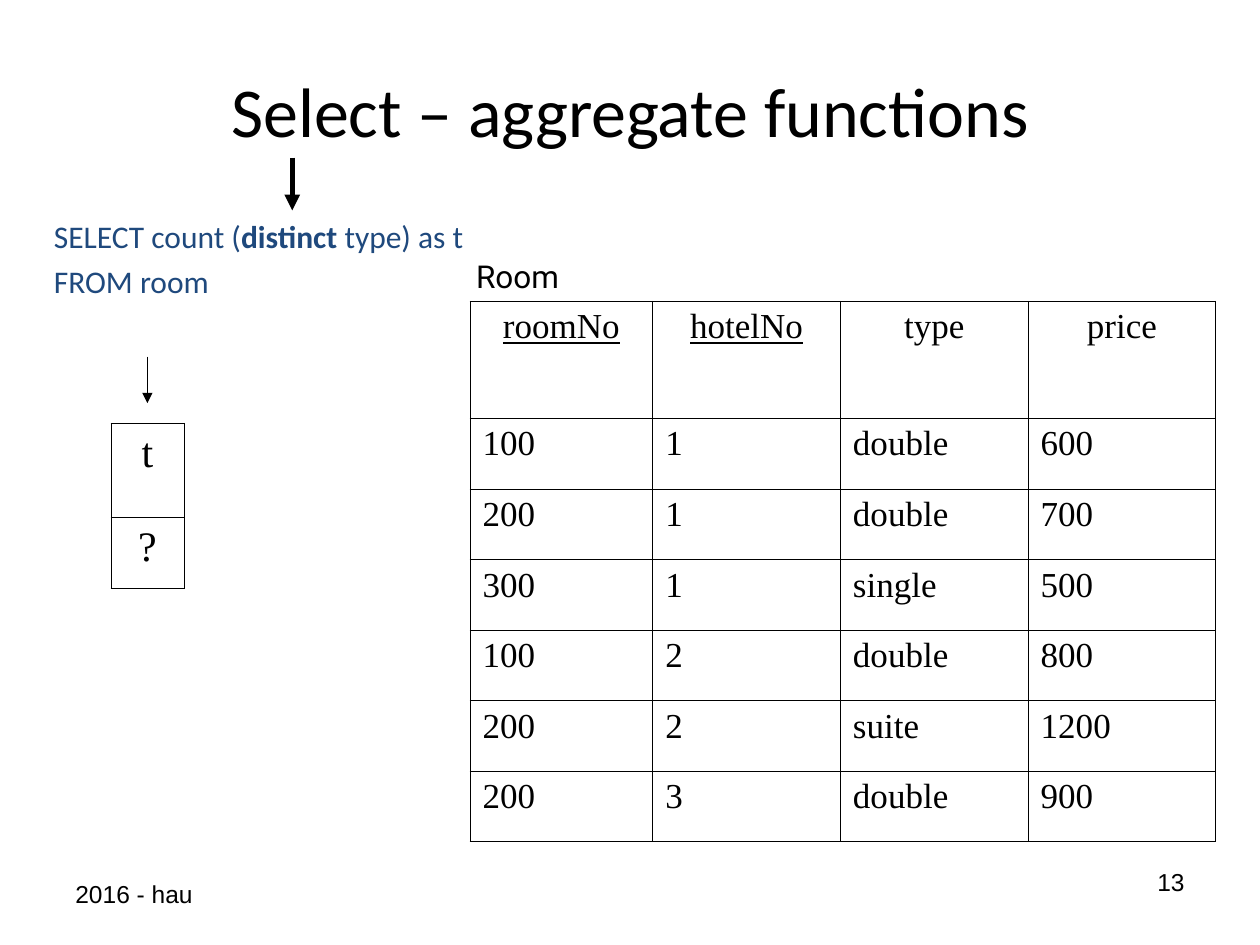
from dataclasses import dataclass

import lxml.etree
import pptx
import pptx.dml.color
import pptx.enum.shapes
import pptx.enum.text
import pptx.oxml.ns
import pptx.util

Inches = pptx.util.Inches
Align = pptx.enum.text.PP_ALIGN
Anchor = pptx.enum.text.MSO_ANCHOR
qn = pptx.oxml.ns.qn

COLORS = {"ink": "000000", "query": "1F497D"}


@dataclass
class Span:
    text: str
    bold: bool = False
    underline: bool = False


@dataclass
class Style:
    font: str
    size: float
    color: str = "ink"


@dataclass
class Label:
    left: float
    top: float
    width: float
    height: float
    lines: list[list[Span]]
    style: Style
    align: Align = Align.LEFT
    anchor: Anchor = Anchor.MIDDLE
    wrap: bool = True
    space_before: float = 0


@dataclass
class Grid:
    left: float
    top: float
    widths: list[float]
    heights: list[float]
    rows: list[list[Span]]
    style: Style
    body_align: Align


@dataclass
class Arrow:
    x: float
    top: float
    bottom: float
    weight: float


def color_of(name: str) -> pptx.dml.color.RGBColor:
    return pptx.dml.color.RGBColor.from_string(COLORS[name])


def write_spans(para, spans: list[Span], style: Style, align: Align) -> None:
    para.alignment = align
    for span in spans:
        run = para.add_run()
        run.text = span.text
        run.font.name = style.font
        run.font.size = pptx.util.Pt(style.size)
        run.font.color.rgb = color_of(style.color)
        run.font.bold = span.bold
        run.font.underline = span.underline


def draw_label(page, label: Label) -> None:
    box = page.shapes.add_textbox(
        Inches(label.left), Inches(label.top), Inches(label.width), Inches(label.height)
    )
    frame = box.text_frame
    frame.word_wrap = label.wrap
    frame.vertical_anchor = label.anchor
    if not label.wrap:
        frame.auto_size = pptx.enum.text.MSO_AUTO_SIZE.SHAPE_TO_FIT_TEXT
    for index, spans in enumerate(label.lines):
        para = frame.add_paragraph() if index else frame.paragraphs[0]
        if index:
            para.space_before = pptx.util.Pt(label.space_before)
        write_spans(para, spans, label.style, label.align)


def outline_cell(cell, weight: float) -> None:
    cell.fill.background()
    properties = cell._tc.get_or_add_tcPr()
    for index, side in enumerate(("a:lnL", "a:lnR", "a:lnT", "a:lnB")):
        border = lxml.etree.Element(qn(side), w=str(pptx.util.Pt(weight)))
        fill = lxml.etree.SubElement(border, qn("a:solidFill"))
        lxml.etree.SubElement(fill, qn("a:srgbClr"), val=COLORS["ink"])
        properties.insert(index, border)


def draw_grid(page, grid: Grid) -> None:
    table = page.shapes.add_table(
        len(grid.heights), len(grid.widths), Inches(grid.left), Inches(grid.top),
        Inches(sum(grid.widths)), Inches(sum(grid.heights)),
    ).table
    table.first_row = False
    table.horz_banding = False
    for column, width in zip(table.columns, grid.widths):
        column.width = Inches(width)
    for row, height in zip(table.rows, grid.heights):
        row.height = Inches(height)
    for row_index, row in enumerate(grid.rows):
        align = grid.body_align if row_index else Align.CENTER
        for column_index, span in enumerate(row):
            cell = table.cell(row_index, column_index)
            write_spans(cell.text_frame.paragraphs[0], [span], grid.style, align)
            outline_cell(cell, 0.45)


def draw_arrow(page, arrow: Arrow) -> None:
    line = page.shapes.add_connector(
        pptx.enum.shapes.MSO_CONNECTOR.STRAIGHT,
        Inches(arrow.x), Inches(arrow.top), Inches(arrow.x), Inches(arrow.bottom),
    )
    line.line.color.rgb = color_of("ink")
    line.line.width = pptx.util.Pt(arrow.weight)
    lxml.etree.SubElement(line.line._get_or_add_ln(), qn("a:tailEnd"), type="triangle")
    lxml.etree.SubElement(line._element.spPr, qn("a:effectLst"))


FOOTER = Style("Arial", 14)

LABELS = [
    Label(0.5, 6.83, 2.33, 0.52, [[Span("2016 - hau")]], FOOTER),
    Label(7.17, 6.83, 2.33, 0.52, [[Span("13")]], FOOTER, Align.RIGHT, Anchor.TOP),
    Label(0.5, 0.47, 9, 0.8, [[Span("Select – aggregate functions")]],
          Style("Calibri", 40), Align.CENTER),
    Label(0.33, 1.67, 9, 5.02,
          [[Span("SELECT count ("), Span("distinct", bold=True), Span(" type) as t")],
           [Span("FROM room")]],
          Style("Calibri", 18, "query"), anchor=Anchor.TOP, space_before=4.5),
    Label(3.68, 1.99, 0.89, 0.4, [[Span("Room")]], Style("Roboto", 18), wrap=False),
]

ROOMS = [
    ("100", "1", "double", "600"),
    ("200", "1", "double", "700"),
    ("300", "1", "single", "500"),
    ("100", "2", "double", "800"),
    ("200", "2", "suite", "1200"),
    ("200", "3", "double", "900"),
]
ROOM_HEADER = [
    Span("roomNo", underline=True), Span("hotelNo", underline=True),
    Span("type"), Span("price"),
]

GRIDS = [
    Grid(3.73, 2.39, [1.45] + [1.49] * 3, [0.93] + [0.56] * len(ROOMS),
         [ROOM_HEADER] + [[Span(value) for value in room] for room in ROOMS],
         Style("Times New Roman", 20), Align.LEFT),
    Grid(0.88, 3.36, [0.58], [0.75, 0.56], [[Span("t")], [Span("?")]],
         Style("Times New Roman", 24), Align.CENTER),
]

ARROWS = [Arrow(1.17, 2.83, 3.2, 1), Arrow(2.32, 1.25, 1.67, 3)]


def main() -> None:
    deck = pptx.Presentation()
    deck.slide_width = Inches(10)
    deck.slide_height = Inches(7.5)
    page = deck.slides.add_slide(deck.slide_layouts[6])
    for label in LABELS:
        draw_label(page, label)
    for grid in GRIDS:
        draw_grid(page, grid)
    for arrow in ARROWS:
        draw_arrow(page, arrow)
    deck.save("out.pptx")


if __name__ == "__main__":
    main()
